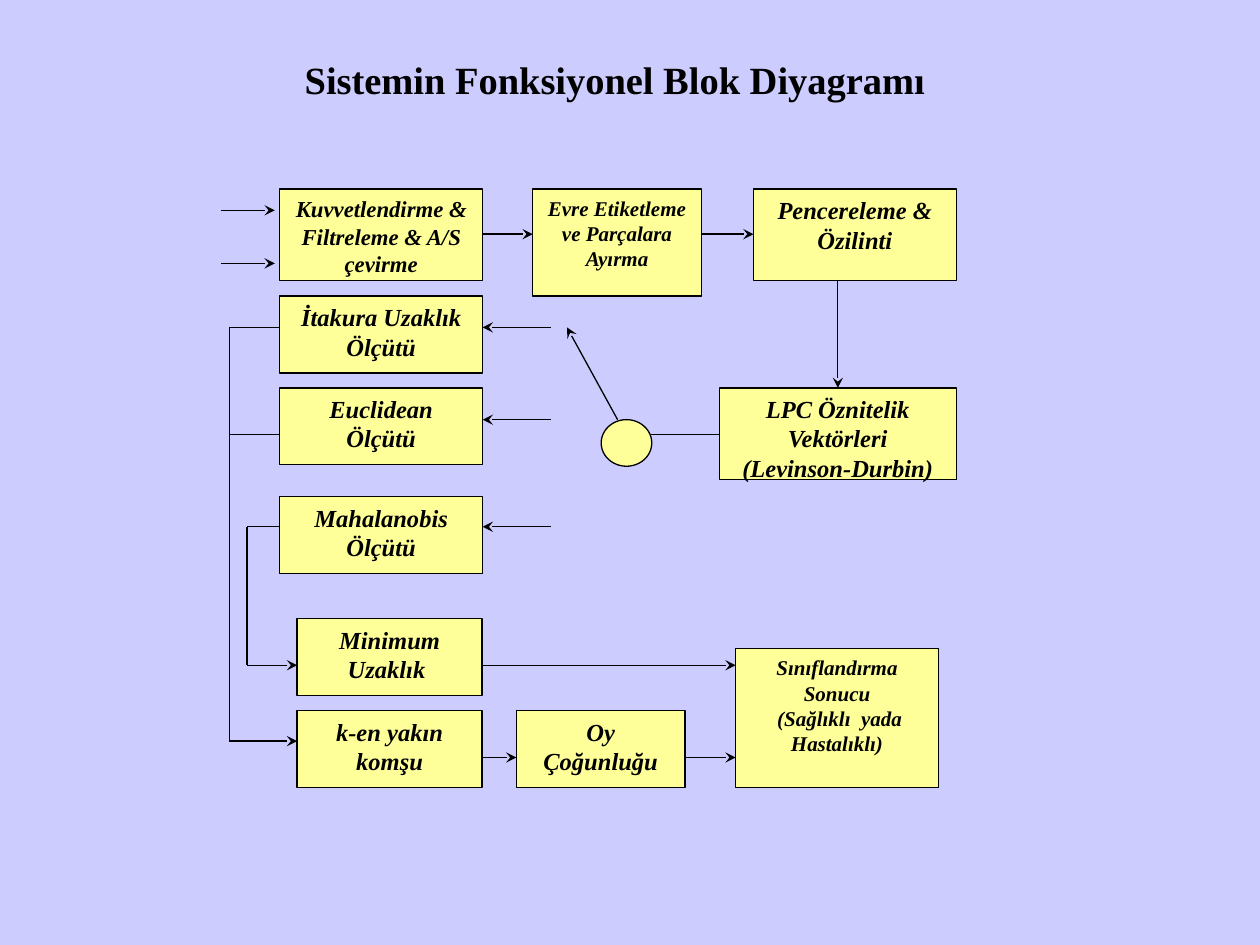
from lxml.etree import SubElement
from pptx import Presentation
from pptx.dml.color import RGBColor
from pptx.enum.shapes import MSO_CONNECTOR, MSO_SHAPE
from pptx.enum.text import MSO_ANCHOR, PP_ALIGN
from pptx.oxml.ns import qn
from pptx.util import Cm, Pt

FONT = "Times New Roman"
BLACK, YELLOW, LAVENDER = "000000", "FFFF99", "CCCCFF"


def paint(target, color):
    """Give a fill a solid colour."""
    target.solid()
    target.fore_color.rgb = RGBColor.from_string(color)


def write(paragraph, text, size, italic):
    """Fill a centred bold paragraph."""
    paragraph.text = text
    paragraph.alignment = PP_ALIGN.CENTER
    font = paragraph.font
    font.name, font.size, font.bold, font.italic = FONT, Pt(size), True, italic
    paint(font.fill, BLACK)


deck = Presentation()
deck.slide_width, deck.slide_height = Cm(25.4), Cm(19.05)
page = deck.slides.add_slide(deck.slide_layouts[5])
paint(page.background.fill, LAVENDER)

# Title
title = page.shapes.title
title.left, title.top, title.width, title.height = Cm(4.24), Cm(0.43), Cm(16.31), Cm(2.34)
title.text_frame.vertical_anchor = MSO_ANCHOR.MIDDLE
write(title.text_frame.paragraphs[0], "Sistemin Fonksiyonel Blok Diyagramı", 22, False)

# Blocks and the selector circle: left, top, width, height, size, lines
RECT, OVAL = MSO_SHAPE.RECTANGLE, MSO_SHAPE.OVAL
blocks = [
    (RECT, 5.64, 3.81, 4.09, 1.85, 13, ["Kuvvetlendirme & Filtreleme & A/S çevirme"]),
    (RECT, 10.74, 3.81, 3.4, 2.16, 12, ["Evre Etiketleme ve Parçalara Ayırma"]),
    (RECT, 15.19, 3.81, 4.09, 1.85, 14, ["Pencereleme & Özilinti"]),
    (RECT, 5.64, 5.97, 4.09, 1.55, 14, ["İtakura Uzaklık Ölçütü"]),
    (RECT, 5.64, 7.82, 4.09, 1.55, 14, ["Euclidean Ölçütü"]),
    (RECT, 5.64, 10.01, 4.09, 1.55, 14, ["Mahalanobis Ölçütü"]),
    (RECT, 14.5, 7.82, 4.78, 1.85, 14, ["LPC Öznitelik Vektörleri (Levinson-Durbin)"]),
    (OVAL, 12.12, 8.46, 1.02, 0.94, 14, []),
    (RECT, 5.99, 12.47, 3.73, 1.55, 14, ["Minimum Uzaklık "]),
    (RECT, 5.99, 14.33, 3.73, 1.55, 14, ["k-en yakın komşu"]),
    (RECT, 10.41, 14.33, 3.4, 1.55, 14, ["Oy Çoğunluğu"]),
    (RECT, 14.83, 13.08, 4.09, 2.79, 12,
     ["Sınıflandırma Sonucu", " (Sağlıklı  yada Hastalıklı)"]),
]
for kind, left, top, width, height, size, lines in blocks:
    box = page.shapes.add_shape(kind, Cm(left), Cm(top), Cm(width), Cm(height))
    box.shadow.inherit = False
    paint(box.fill, YELLOW)
    paint(box.line.fill, BLACK)
    box.line.width = Pt(0.75)
    frame = box.text_frame
    frame.word_wrap = True
    frame.vertical_anchor = MSO_ANCHOR.TOP
    for index, text in enumerate(lines):
        para = frame.add_paragraph() if index else frame.paragraphs[0]
        write(para, text, size, True)

# Arrows: from x, from y, to x, to y
arrows = [
    (4.45, 4.24, 5.54, 4.24),      # two inputs
    (4.45, 5.31, 5.54, 5.31),
    (9.73, 4.72, 10.74, 4.72),     # top row
    (14.15, 4.72, 15.19, 4.72),
    (16.89, 5.66, 16.89, 7.82),    # down to the feature vectors
    (12.45, 8.46, 11.43, 6.6),     # selector
    (11.1, 6.6, 9.73, 6.6),        # into the three distance measures
    (11.1, 8.46, 9.73, 8.46),
    (11.1, 10.62, 9.73, 10.62),
    (4.98, 13.41, 5.99, 13.41),    # into the two decision rules
    (4.62, 14.94, 5.99, 14.94),
    (9.73, 13.41, 14.83, 13.41),   # to the result
    (9.73, 15.27, 10.41, 15.27),
    (13.82, 15.27, 14.83, 15.27),
]
# Plain lines: left buses and the selector's feed
plain_lines = [
    (5.64, 6.6, 4.62, 6.6),
    (5.64, 8.76, 4.62, 8.76),
    (4.62, 6.6, 4.62, 14.94),
    (5.64, 10.62, 4.98, 10.62),
    (4.98, 10.62, 4.98, 13.41),
    (14.5, 8.76, 13.13, 8.76),
]
for ends in arrows + plain_lines:
    link = page.shapes.add_connector(MSO_CONNECTOR.STRAIGHT, *map(Cm, ends))
    paint(link.line.fill, BLACK)
    link.line.width = Pt(0.75)
    if ends in arrows:
        SubElement(link.line._get_or_add_ln(), qn("a:tailEnd"), type="stealth")
    SubElement(link._element.spPr, qn("a:effectLst"))

deck.save("out.pptx")
